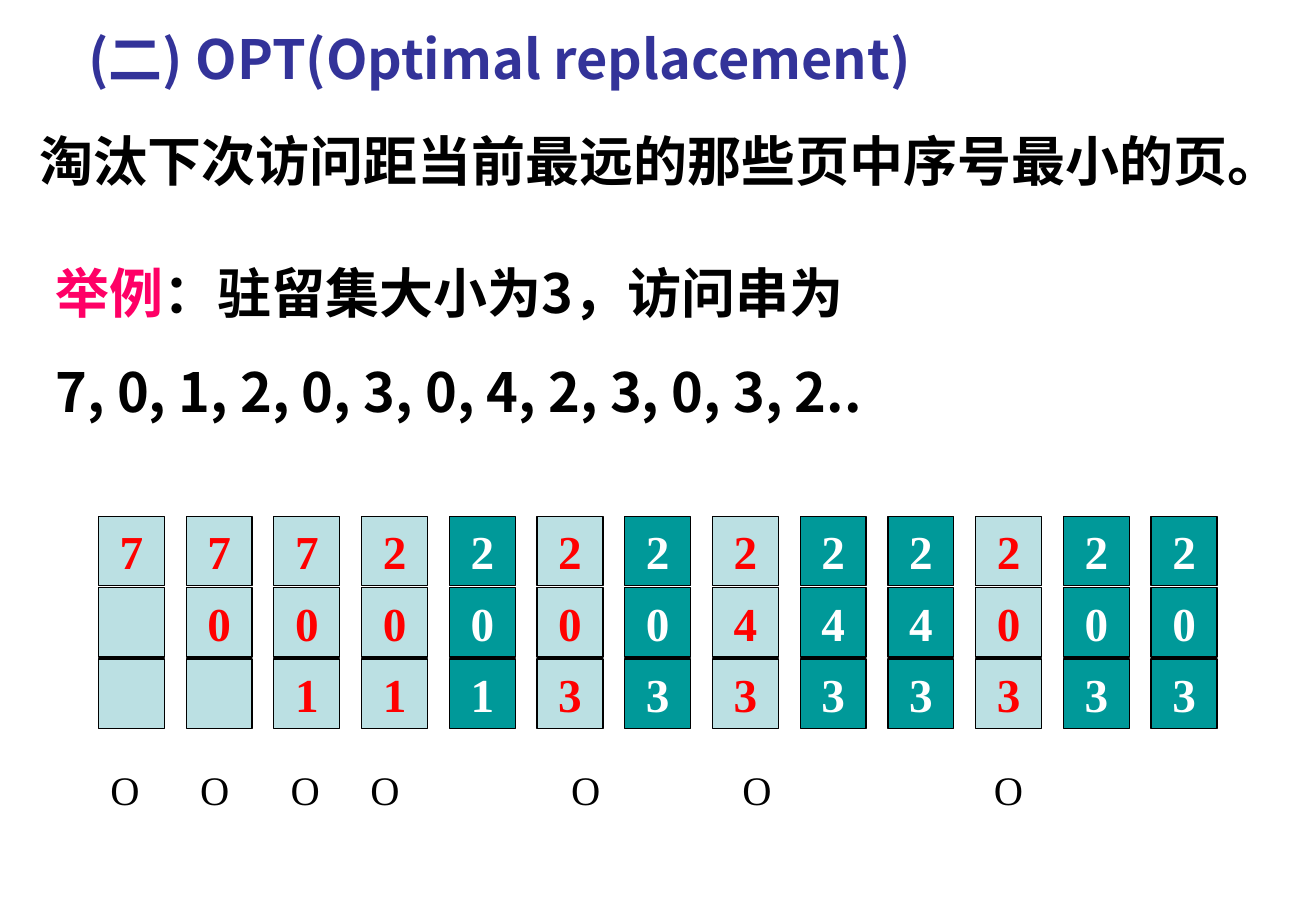
import pptx
import pptx.dml.color
import pptx.enum.shapes
import pptx.enum.text
import pptx.oxml.ns
import pptx.util
from lxml import etree

Cm = pptx.util.Cm
Pt = pptx.util.Pt
RGBColor = pptx.dml.color.RGBColor
ALIGN = pptx.enum.text.PP_ALIGN
ANCHOR = pptx.enum.text.MSO_ANCHOR
qn = pptx.oxml.ns.qn

INDIGO = RGBColor(0x33, 0x33, 0x99)
PINK = RGBColor(0xFF, 0x00, 0x66)
RED = RGBColor(0xFF, 0x00, 0x00)
BLACK = RGBColor(0x00, 0x00, 0x00)
WHITE = RGBColor(0xFF, 0xFF, 0xFF)
PALE = RGBColor(0xBB, 0xE0, 0xE3)
TEAL = RGBColor(0x00, 0x99, 0x99)

HEADING = {"name": "Noto Sans CJK SC", "size": Pt(32), "bold": True}
DIGIT = {"name": "Times New Roman", "size": Pt(28), "bold": True}
MARK = {"name": "Times New Roman", "size": Pt(24), "bold": False}

FRAMES = ["7", "70", "701", "201", "201", "203", "203",
          "243", "243", "243", "203", "203", "203"]
FAULTS = {0, 1, 2, 3, 5, 7, 10}
MARK_TABS = [1.88, 3.77, 5.44, 9.64, 13.22, 18.48]
FRAME_SIZE = 3
COL_PITCH = 22.02 / 12
ROW_PITCH = 1.49


class PageSlide:
    """Draws text and page frames on one slide in a shared style."""

    def __init__(self, prs):
        self.s = prs.slides.add_slide(prs.slide_layouts[6])

    def run(self, p, text, style, color):
        r = p.add_run()
        r.text = text
        for key, value in style.items():
            setattr(r.font, key, value)
        r.font.color.rgb = color
        ea = etree.SubElement(r.font._element, qn("a:ea"))
        ea.set("typeface", style["name"])

    def text(self, left, top, width, height, lines, style, space=0, tabs=()):
        box = self.s.shapes.add_textbox(Cm(left), Cm(top), Cm(width), Cm(height))
        tf = box.text_frame
        tf.word_wrap = True
        for i, line in enumerate(lines):
            p = tf.add_paragraph() if i else tf.paragraphs[0]
            if i:
                p.space_before = Pt(space)
            if tabs:
                tab_list = etree.SubElement(p._p.get_or_add_pPr(), qn("a:tabLst"))
                for pos in tabs:
                    tab = etree.SubElement(tab_list, qn("a:tab"))
                    tab.set("pos", str(int(Cm(pos))))
                    tab.set("algn", "l")
            for text, color in line:
                self.run(p, text, style, color)

    def column(self, left, top, pages, fill, color):
        group = self.s.shapes.add_group_shape()
        for row in range(FRAME_SIZE):
            sp = group.shapes.add_shape(
                pptx.enum.shapes.MSO_SHAPE.RECTANGLE,
                Cm(left), Cm(top + row * ROW_PITCH), Cm(1.38), Cm(1.45))
            sp.shadow.inherit = False
            sp.fill.solid()
            sp.fill.fore_color.rgb = fill
            sp.line.color.rgb = BLACK
            sp.line.width = Pt(0.75)
            tf = sp.text_frame
            tf.vertical_anchor = ANCHOR.MIDDLE
            if row < len(pages):
                p = tf.paragraphs[0]
                p.alignment = ALIGN.CENTER
                self.run(p, pages[row], DIGIT, color)


def main():
    prs = pptx.Presentation()
    prs.slide_width, prs.slide_height = Cm(27.53), Cm(19.05)
    page = PageSlide(prs)
    page.text(1.6, 0.41, 23.85, 2.97,
              [[("(二) OPT(Optimal replacement)", INDIGO)]], HEADING)
    page.text(0.58, 2.54, 26.7, 1.63,
              [[("淘汰下次访问距当前最远的那些页中序号最小的页。", BLACK)]], HEADING)
    page.text(0.91, 5.31, 25.37, 5.03,
              [[("举例", PINK), ("：驻留集大小为3，访问串为", BLACK)],
               [("7, 0, 1, 2, 0, 3, 0, 4, 2, 3, 0, 3, 2..", BLACK)]],
              HEADING, space=20)
    for i, pages in enumerate(FRAMES):
        fill, color = (PALE, RED) if i in FAULTS else (TEAL, WHITE)
        page.column(2.06 + i * COL_PITCH, 10.8, pages, fill, color)
    page.text(2.06, 15.88, 23.85, 1.27,
              [[("\t".join("O" * len(FAULTS)), BLACK)]], MARK, tabs=MARK_TABS)
    prs.save("out.pptx")


if __name__ == "__main__":
    main()
